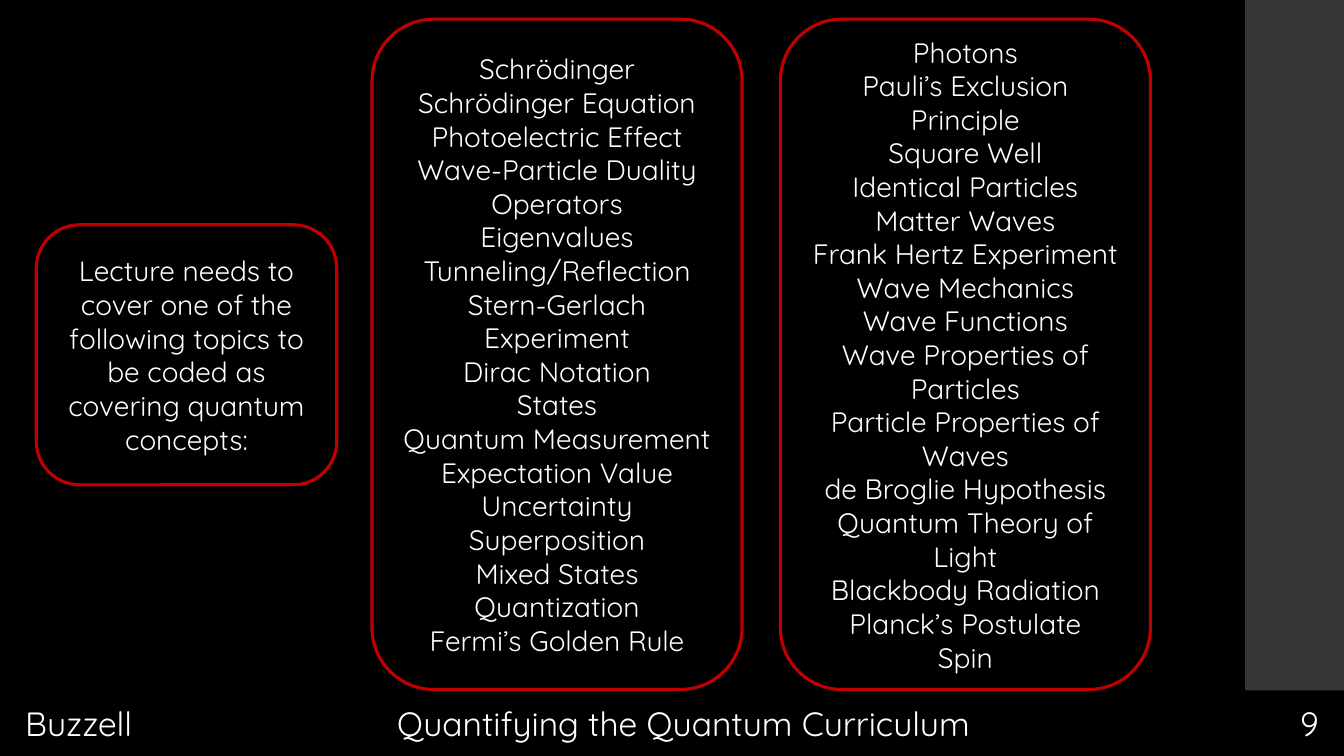
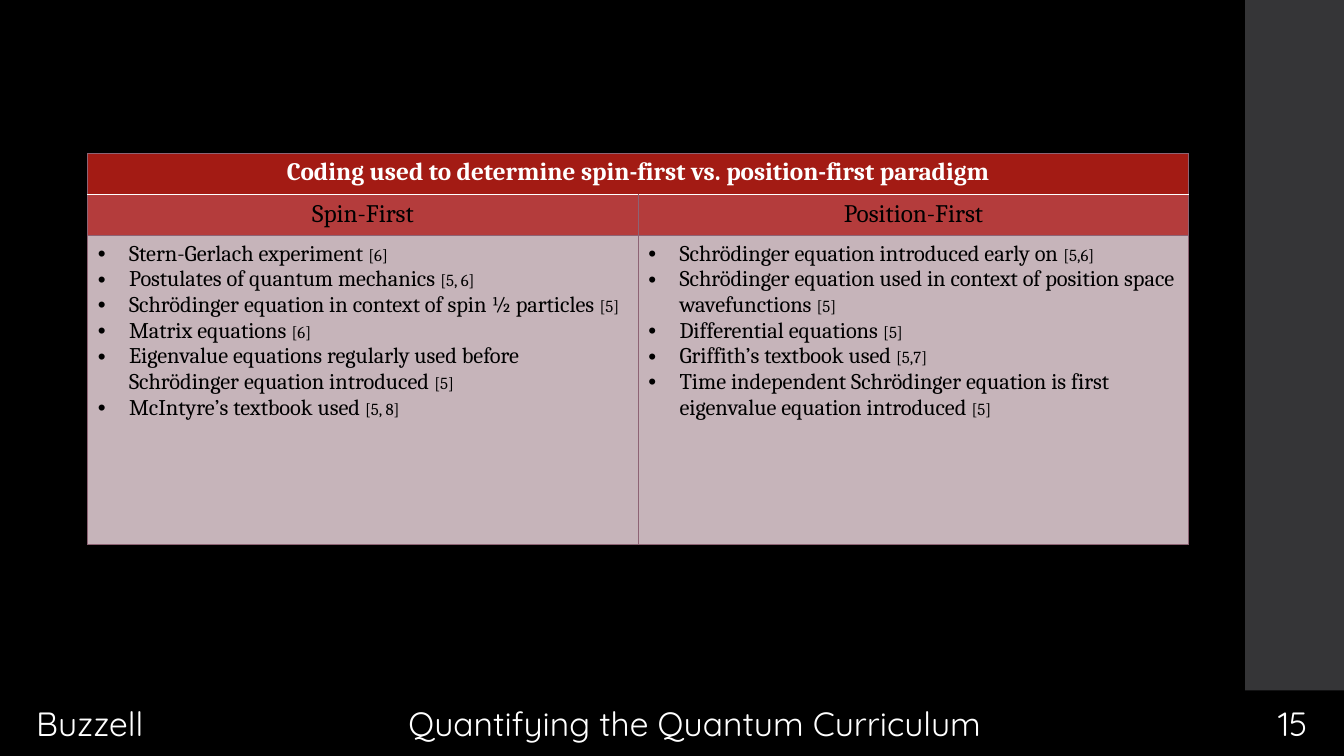
from dataclasses import dataclass

from lxml.etree import SubElement
from pptx import Presentation
from pptx.dml.color import RGBColor
from pptx.enum.shapes import MSO_SHAPE
from pptx.enum.text import MSO_ANCHOR, PP_ALIGN
from pptx.oxml.ns import qn
from pptx.util import Pt

SCALE = 9144
WIDE, HIGH = 1333, 750


@dataclass(frozen=True)
class Theme:
    black: str = "000000"
    white: str = "FFFFFF"
    side: str = "353537"
    frame: str = "C00000"
    head: str = "A31B14"
    label: str = "B43C3C"
    body: str = "C6B4BA"
    rule: str = "8D6374"
    sans: str = "Quicksand"
    serif: str = "Cambria"
    foot_size: int = 24
    card_size: int = 20
    head_size: int = 18
    item_size: int = 16
    ref_size: int = 12


THEME = Theme()

LEFT_TOPICS = [
    "Schrödinger", "Schrödinger Equation", "Photoelectric Effect",
    "Wave-Particle Duality", "Operators", "Eigenvalues",
    "Tunneling/Reflection", "Stern-Gerlach Experiment", "Dirac Notation",
    "States", "Quantum Measurement", "Expectation Value", "Uncertainty",
    "Superposition", "Mixed States", "Quantization", "Fermi’s Golden Rule",
]
RIGHT_TOPICS = [
    "Photons", "Pauli’s Exclusion Principle", "Square Well",
    "Identical Particles", "Matter Waves", "Frank Hertz Experiment",
    "Wave Mechanics", "Wave Functions", "Wave Properties of Particles",
    "Particle Properties of Waves", "de Broglie Hypothesis",
    "Quantum Theory of Light", "Blackbody Radiation", "Planck’s Postulate",
    "Spin",
]
PROMPT = [
    "Lecture needs to cover one of the following topics to be coded as "
    "covering quantum concepts:"
]
CODING = "Coding used to determine spin-first vs. position-first paradigm"
COLUMNS = {
    "Spin-First": [
        ("Stern-Gerlach experiment", "[6]"),
        ("Postulates of quantum mechanics", "[5, 6]"),
        ("Schrödinger equation in context of spin ½ particles", "[5]"),
        ("Matrix equations", "[6]"),
        ("Eigenvalue equations regularly used before Schrödinger equation "
         "introduced", "[5]"),
        ("McIntyre’s textbook used", "[5, 8]"),
    ],
    "Position-First": [
        ("Schrödinger equation introduced early on", "[5,6]"),
        ("Schrödinger equation used in context of position space "
         "wavefunctions", "[5]"),
        ("Differential equations", "[5]"),
        ("Griffith’s textbook used", "[5,7]"),
        ("Time independent Schrödinger equation is first eigenvalue "
         "equation introduced", "[5]"),
    ],
}


def px(count):
    return count * SCALE


def box(*sides):
    return [px(side) for side in sides]


def paint(fill, color):
    fill.solid()
    fill.fore_color.rgb = RGBColor.from_string(color)


def style(run, size, face, color, bold=False):
    run.font.size = Pt(size)
    run.font.name = face
    run.font.bold = bold
    run.font.color.rgb = RGBColor.from_string(color)


def write(frame, lines, align, size, face, color, bold=False):
    frame.text = "\n".join(lines)
    for para in frame.paragraphs:
        para.alignment = align
        for run in para.runs:
            style(run, size, face, color, bold)


def add_block(slide, kind, place, fill, line=None):
    block = slide.shapes.add_shape(kind, *box(*place))
    block.shadow.inherit = False
    paint(block.fill, fill)
    if line:
        paint(block.line.fill, line)
        block.line.width = Pt(2.25)
    else:
        block.line.fill.background()
    return block


def add_card(slide, place, lines):
    card = add_block(slide, MSO_SHAPE.ROUNDED_RECTANGLE, place,
                     THEME.black, THEME.frame)
    frame = card.text_frame
    frame.word_wrap = True
    frame.vertical_anchor = MSO_ANCHOR.MIDDLE
    write(frame, lines, PP_ALIGN.CENTER, THEME.card_size, THEME.sans,
          THEME.white)


def add_label(slide, place, text, align):
    frame = slide.shapes.add_textbox(*box(*place)).text_frame
    frame.word_wrap = True
    frame.vertical_anchor = MSO_ANCHOR.MIDDLE
    frame.margin_left = frame.margin_right = 0
    write(frame, [text], align, THEME.foot_size, THEME.sans, THEME.white)


def add_page(deck, number, inset):
    slide = deck.slides.add_slide(deck.slide_layouts[6])
    paint(slide.background.fill, THEME.black)
    top, tall = 685, 65
    add_block(slide, MSO_SHAPE.RECTANGLE, (1235, 0, WIDE - 1235, HIGH),
              THEME.side)
    add_block(slide, MSO_SHAPE.RECTANGLE, (0, top, WIDE, tall), THEME.black)
    add_label(slide, (inset, top, 200, tall), "Buzzell", PP_ALIGN.LEFT)
    add_label(slide, (inset + 369, top, 640, tall),
              "Quantifying the Quantum Curriculum", PP_ALIGN.LEFT)
    add_label(slide, (WIDE - inset - 100, top, 100, tall), str(number),
              PP_ALIGN.RIGHT)
    return slide


def add_edge(cell, side, color, width):
    line = SubElement(cell._tc.get_or_add_tcPr(), qn(f"a:ln{side}"),
                      w=str(Pt(width)))
    solid = SubElement(line, qn("a:solidFill"))
    SubElement(solid, qn("a:srgbClr"), val=color)


def dress(cell, fill, above=None, below=None):
    rule, bright = (THEME.rule, 0.75), (THEME.white, 1.1)
    for side, edge in zip("LRTB", (rule, rule, above or rule, below or rule)):
        add_edge(cell, side, *(bright if edge == THEME.white else edge))
    paint(cell.fill, fill)


def add_bullet(para, indent):
    props = para._p.get_or_add_pPr()
    props.set("marL", str(px(indent)))
    props.set("indent", str(px(-indent)))
    SubElement(props, qn("a:buFont"), typeface="Arial")
    SubElement(props, qn("a:buChar"), char="•")


def fill_items(frame, items):
    for place, (text, ref) in enumerate(items):
        para = frame.add_paragraph() if place else frame.paragraphs[0]
        add_bullet(para, 31)
        for part, size in ((f"{text} ", THEME.item_size),
                           (ref, THEME.ref_size)):
            run = para.add_run()
            run.text = part
            style(run, size, THEME.serif, THEME.black)


def add_grid(slide, place, rows, title, columns):
    grid = slide.shapes.add_table(len(rows), len(columns),
                                  *box(*place)).table
    for row, tall in zip(grid.rows, rows):
        row.height = px(tall)
    for spot, (label, items) in enumerate(columns.items()):
        grid.columns[spot].width = px(place[2] // len(columns))
        head, name, body = (grid.cell(row, spot) for row in range(3))
        dress(head, THEME.head, below=THEME.white)
        dress(name, THEME.label, above=THEME.white)
        dress(body, THEME.body)
        write(name.text_frame, [label], PP_ALIGN.CENTER, THEME.head_size,
              THEME.serif, THEME.black)
        fill_items(body.text_frame, items)
    first = grid.cell(0, 0)
    first.merge(grid.cell(0, len(columns) - 1))
    write(first.text_frame, [title], PP_ALIGN.CENTER, THEME.head_size,
          THEME.serif, THEME.white, True)


def main():
    deck = Presentation()
    deck.slide_width, deck.slide_height = px(WIDE), px(HIGH)

    topics = add_page(deck, 9, 25)
    add_card(topics, (36, 223, 298, 258), PROMPT)
    for spot, lines in enumerate((LEFT_TOPICS, RIGHT_TOPICS)):
        add_card(topics, (369 + spot * 405, 19, 367, 665), lines)

    coding = add_page(deck, 15, 36)
    add_grid(coding, (87, 152, 1092, 388), (41, 41, 306), CODING, COLUMNS)
    deck.save("out.pptx")


if __name__ == "__main__":
    main()
